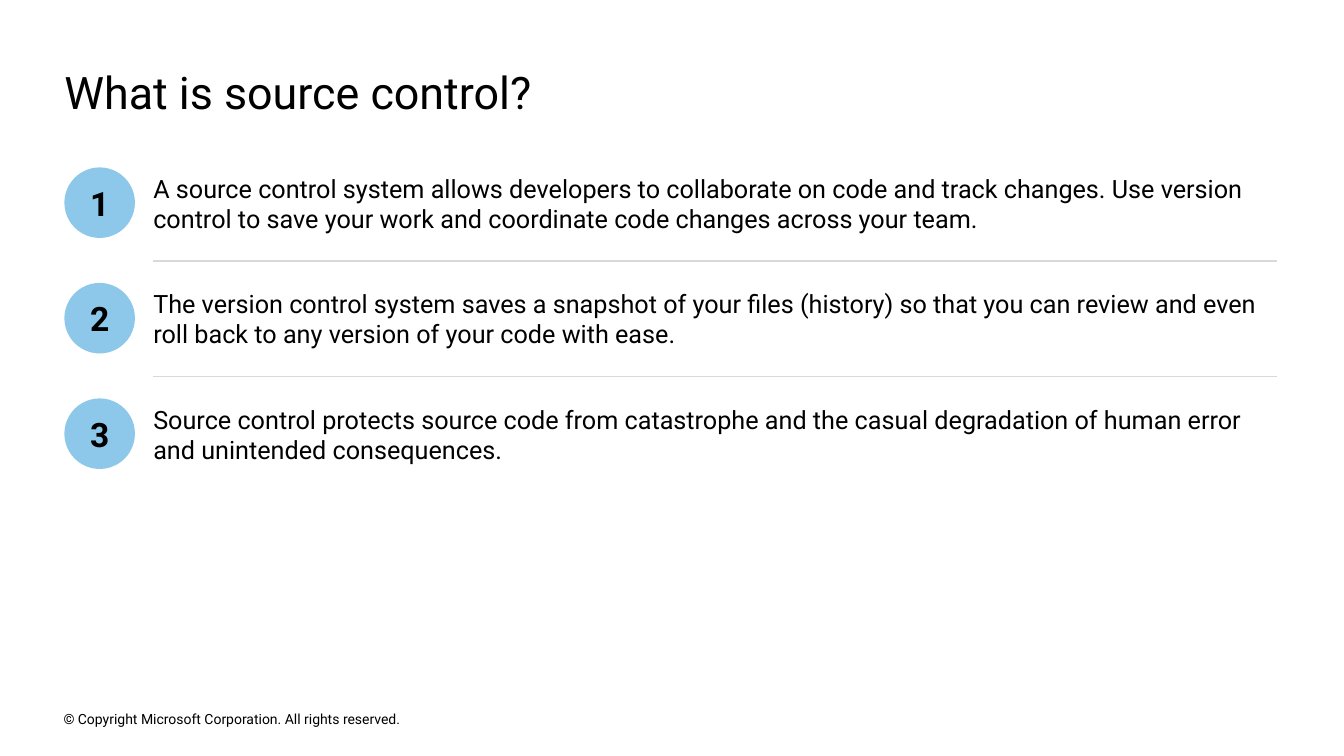
from dataclasses import dataclass

from lxml import etree
from pptx import Presentation
from pptx.dml.color import RGBColor
from pptx.enum.shapes import MSO_CONNECTOR, MSO_SHAPE
from pptx.enum.text import MSO_ANCHOR, MSO_AUTO_SIZE, PP_ALIGN
from pptx.oxml.ns import qn
from pptx.slide import Slide
from pptx.text.text import TextFrame
from pptx.util import Pt

STRAIGHT = MSO_CONNECTOR.STRAIGHT
OVAL = MSO_SHAPE.OVAL
TOP, MIDDLE = MSO_ANCHOR.TOP, MSO_ANCHOR.MIDDLE
LEFT, CENTER = PP_ALIGN.LEFT, PP_ALIGN.CENTER
NO_AUTOFIT = MSO_AUTO_SIZE.NONE
TITLE_ONLY = 5


@dataclass(frozen=True)
class Theme:
    font: str = "Roboto"
    ink: RGBColor = RGBColor(0x00, 0x00, 0x00)
    badge: RGBColor = RGBColor(0x8D, 0xC8, 0xEB)
    rule: RGBColor = RGBColor(0xD9, 0xD9, 0xD9)
    title_size: int = 32
    badge_size: int = 24
    body_size: int = 18
    footer_size: int = 10


@dataclass(frozen=True)
class Area:
    left: float
    top: float
    width: float
    height: float

    def lengths(self) -> tuple[Pt, Pt, Pt, Pt]:
        return Pt(self.left), Pt(self.top), Pt(self.width), Pt(self.height)

    def moved_down(self, distance: float) -> "Area":
        return Area(self.left, self.top + distance, self.width, self.height)


THEME = Theme()
TITLE_AREA = Area(46, 46, 645, 39)
FOOTER_AREA = Area(45.4, 505.4, 327, 15.8)
BADGE_AREA = Area(46, 119.6, 50.4, 50.4)
POINT_AREA = Area(109.5, 114.5, 804, 61.2)
ROW_PITCH = 82.5
RULE_TOP = 186.4
RULE_RIGHT = 912.3

POINTS = (
    "A source control system allows developers to collaborate on code and track changes. "
    "Use version control to save your work and coordinate code changes across your team.",
    "The version control system saves a snapshot of your files (history) so that you can "
    "review and even roll back to any version of your code with ease.",
    "Source control protects source code from catastrophe and the casual degradation of "
    "human error and unintended consequences.",
)


def fill_text(frame: TextFrame, text: str, size: int, bold: bool = False,
              alignment: PP_ALIGN = LEFT, anchor: MSO_ANCHOR = MIDDLE) -> None:
    frame_format = {
        "word_wrap": True, "auto_size": NO_AUTOFIT, "vertical_anchor": anchor,
        "margin_left": 0, "margin_top": 0, "margin_right": 0, "margin_bottom": 0,
    }
    for name, value in frame_format.items():
        setattr(frame, name, value)
    para = frame.paragraphs[0]
    para.alignment = alignment
    span = para.add_run()
    span.text = text
    for name, value in {"name": THEME.font, "size": Pt(size), "bold": bold}.items():
        setattr(span.font, name, value)
    span.font.color.rgb = THEME.ink


def add_title(page: Slide, text: str) -> None:
    title = page.shapes.title
    title.left, title.top, title.width, title.height = TITLE_AREA.lengths()
    fill_text(title.text_frame, text, THEME.title_size, anchor=TOP)


def add_text(page: Slide, area: Area, text: str, size: int) -> None:
    box = page.shapes.add_textbox(*area.lengths())
    fill_text(box.text_frame, text, size)


def add_badge(page: Slide, area: Area, label: str) -> None:
    badge = page.shapes.add_shape(OVAL, *area.lengths())
    badge.shadow.inherit = False
    badge.fill.solid()
    badge.fill.fore_color.rgb = THEME.badge
    badge.line.fill.background()
    fill_text(badge.text_frame, label, THEME.badge_size, bold=True, alignment=CENTER)


def add_rule(page: Slide, top: float) -> None:
    rule = page.shapes.add_connector(
        STRAIGHT, Pt(POINT_AREA.left), Pt(top), Pt(RULE_RIGHT), Pt(top))
    rule.line.color.rgb = THEME.rule
    rule.line.width = Pt(1)
    etree.SubElement(rule.element.spPr, qn("a:effectLst"))


def main() -> None:
    deck = Presentation()
    deck.slide_width, deck.slide_height = Pt(960), Pt(540)
    page = deck.slides.add_slide(deck.slide_layouts[TITLE_ONLY])
    add_title(page, "What is source control?")
    for row, point in enumerate(POINTS):
        offset = row * ROW_PITCH
        if row < len(POINTS) - 1:
            add_rule(page, RULE_TOP + offset)
        add_badge(page, BADGE_AREA.moved_down(offset), str(row + 1))
        add_text(page, POINT_AREA.moved_down(offset), point, THEME.body_size)
    add_text(page, FOOTER_AREA,
             "© Copyright Microsoft Corporation. All rights reserved.", THEME.footer_size)
    deck.save("out.pptx")


if __name__ == "__main__":
    main()
